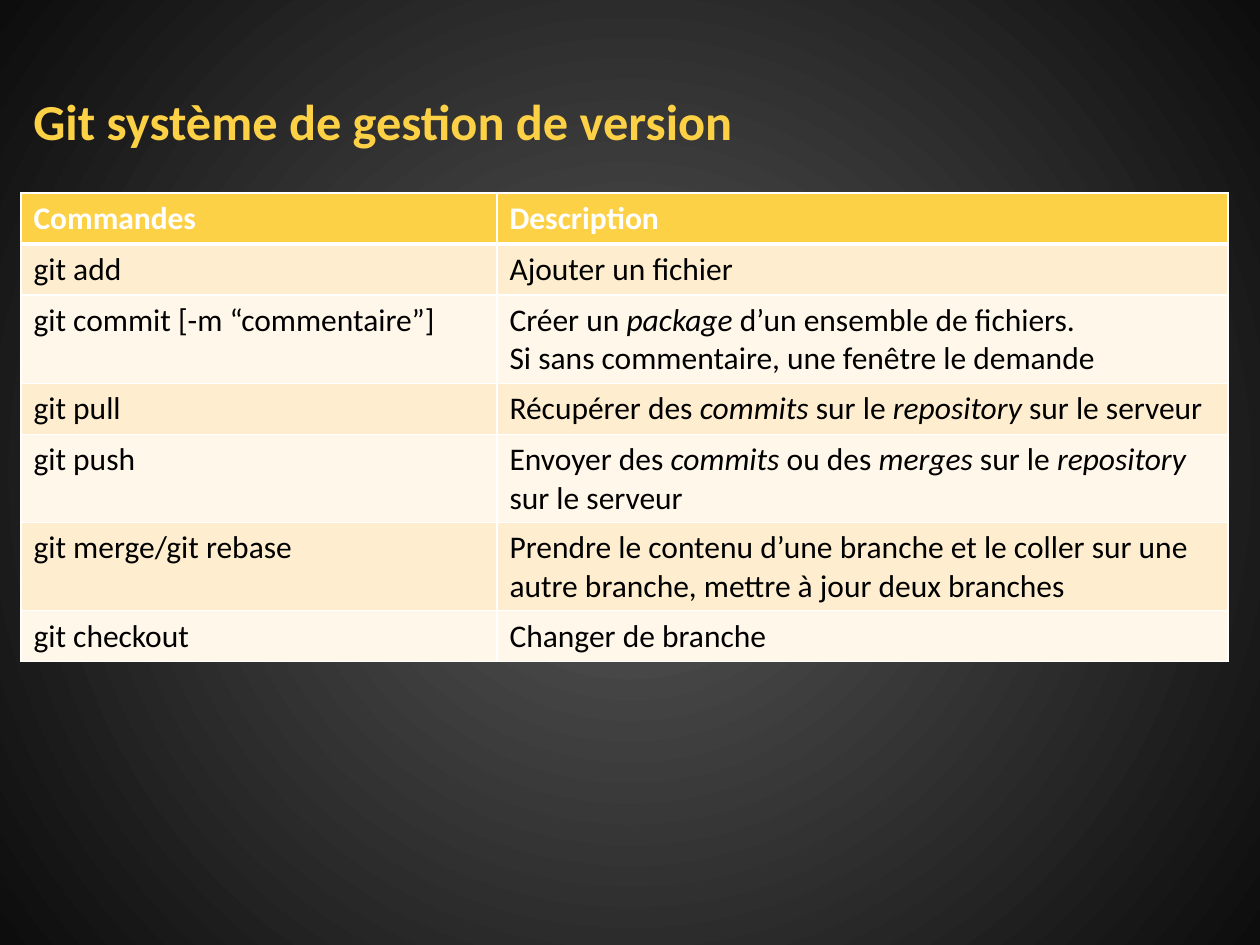
from lxml.etree import SubElement
from pptx import Presentation
from pptx.dml.color import RGBColor
from pptx.enum.text import MSO_ANCHOR
from pptx.oxml import parse_xml
from pptx.oxml.ns import nsdecls, qn
from pptx.util import Pt

PX = 7257.14  # EMU per px, 126 px to the inch
FONT = "Calibri"
COLORS = {
    "accent": "FDD146",
    "white": "FFFFFF",
    "black": "000000",
    "band_dark": "FEEECF",
    "band_light": "FFF7E9",
    "glow": "595959",
    "edge": "0D0D0D",
}
COLUMN_WIDTHS = [476, 731]
ROW_HEIGHT = 51
# Asterisks enclose italic words
COMMANDS = [
    ("Commandes", "Description"),
    ("git add", "Ajouter un fichier"),
    ("git commit [-m “commentaire”]",
     "Créer un *package* d’un ensemble de fichiers.\n"
     "Si sans commentaire, une fenêtre le demande"),
    ("git pull", "Récupérer des *commits* sur le *repository* sur le serveur"),
    ("git push",
     "Envoyer des *commits* ou des *merges* sur le *repository* sur le serveur"),
    ("git merge/git rebase",
     "Prendre le contenu d’une branche et le coller sur une autre branche, "
     "mettre à jour deux branches"),
    ("git checkout", "Changer de branche"),
]


def px(length):
    return round(length * PX)


def rgb(name):
    return RGBColor.from_string(COLORS[name])


def write_text(text_frame, text, size=18, color="black", bold=False):
    for index, line in enumerate(text.split("\n")):
        paragraph = text_frame.paragraphs[0] if index == 0 else text_frame.add_paragraph()
        for position, part in enumerate(line.split("*")):
            run = paragraph.add_run()
            run.text = part
            run.font.name = FONT
            run.font.size = Pt(size)
            run.font.bold = bold
            run.font.italic = position % 2 == 1
            run.font.color.rgb = rgb(color)


def set_background(slide):
    fill = slide.background.fill
    fill.gradient()
    for stop, color, position in zip(fill.gradient_stops, ("glow", "edge"), (0, 1)):
        stop.color.rgb = rgb(color)
        stop.position = position
    # Radial gradient spreading from the centre
    gradient = slide.element.find(".//" + qn("a:gradFill"))
    gradient.remove(gradient.find(qn("a:lin")))
    circle = SubElement(gradient, qn("a:path"), path="circle")
    SubElement(circle, qn("a:fillToRect"), l="50000", t="50000", r="50000", b="50000")


def add_title(slide, text):
    title = slide.shapes.add_textbox(px(21), px(84), px(1071), px(73))
    title.text_frame.word_wrap = True
    title.text_frame.vertical_anchor = MSO_ANCHOR.MIDDLE
    write_text(title.text_frame, text, size=28.8, color="accent", bold=True)


def set_borders(cell, top=1, bottom=1):
    properties = cell._tc.get_or_add_tcPr()
    widths = {"lnL": 1, "lnR": 1, "lnT": top, "lnB": bottom}
    for index, (tag, width) in enumerate(widths.items()):
        properties.insert(index, parse_xml(
            f'<a:{tag} {nsdecls("a")} w="{Pt(width)}"><a:solidFill>'
            f'<a:srgbClr val="{COLORS["white"]}"/></a:solidFill></a:{tag}>'))


def add_command_table(slide, rows):
    frame = slide.shapes.add_table(
        len(rows), len(COLUMN_WIDTHS), px(21), px(193),
        px(sum(COLUMN_WIDTHS)), px(ROW_HEIGHT * len(rows)))
    table = frame.table
    for column, width in zip(table.columns, COLUMN_WIDTHS):
        column.width = px(width)
    for row_index, row in enumerate(rows):
        header = row_index == 0
        band = "band_dark" if row_index % 2 else "band_light"
        for column_index, text in enumerate(row):
            cell = table.cell(row_index, column_index)
            cell.fill.solid()
            cell.fill.fore_color.rgb = rgb("accent" if header else band)
            # Thick rule between the header and the body
            set_borders(cell, top=3 if row_index == 1 else 1, bottom=3 if header else 1)
            write_text(cell.text_frame, text,
                       color="white" if header else "black", bold=header)


def main():
    presentation = Presentation()
    presentation.slide_width = px(1260)
    presentation.slide_height = px(945)
    slide = presentation.slides.add_slide(presentation.slide_layouts[6])
    set_background(slide)
    add_title(slide, "Git système de gestion de version")
    add_command_table(slide, COMMANDS)
    presentation.save("out.pptx")


if __name__ == "__main__":
    main()
